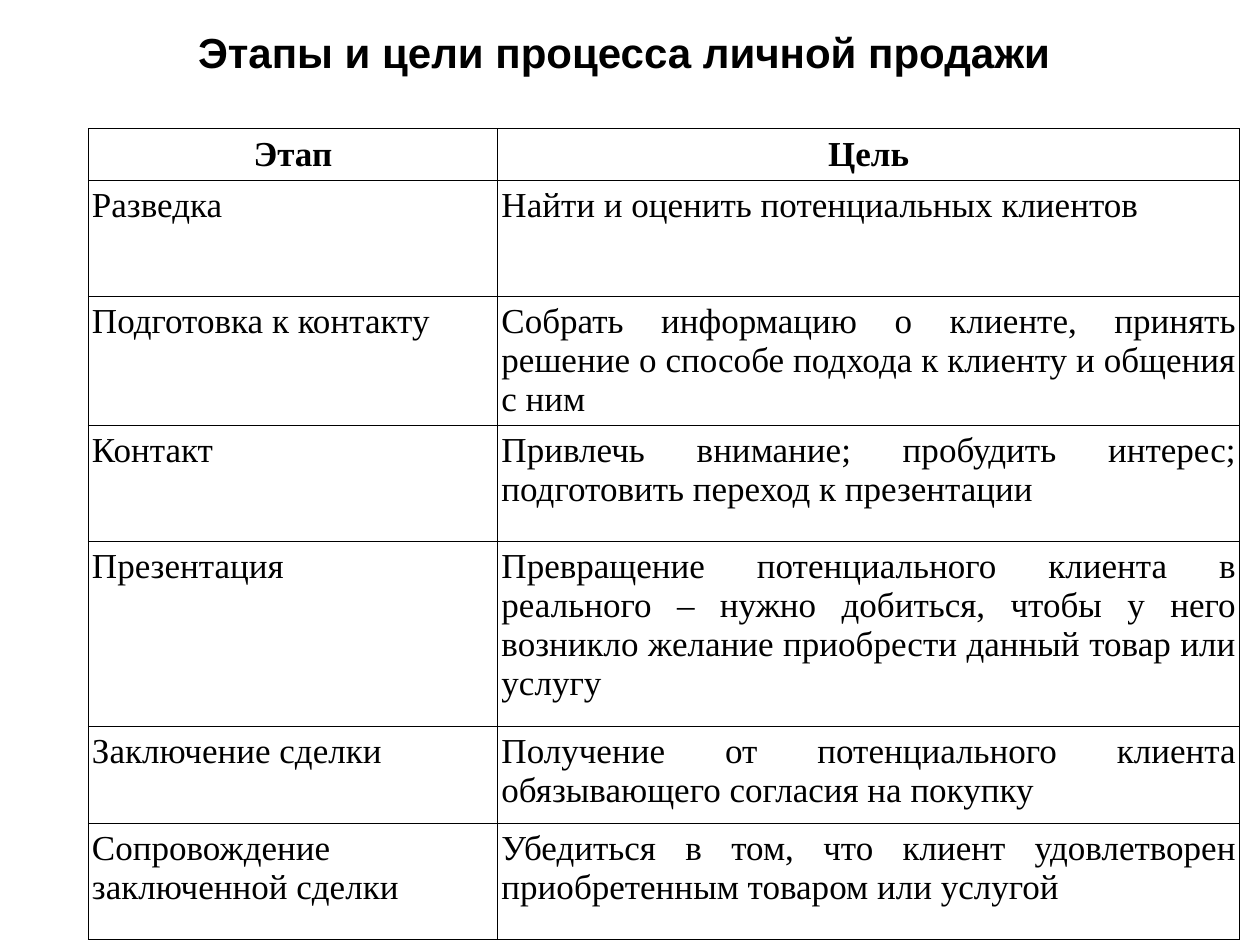
from lxml import etree
from pptx import Presentation
from pptx import util as u
from pptx.dml.color import RGBColor
from pptx.enum import text
from pptx.oxml.ns import qn

COLORS = {"ink": "000000"}
AL = text.PP_ALIGN

STAGES = [
    ("Разведка", "Найти и оценить потенциальных клиентов"),
    ("Подготовка к контакту",
     "Собрать информацию о клиенте, принять решение о способе подхода "
     "к клиенту и общения с ним"),
    ("Контакт",
     "Привлечь внимание; пробудить интерес; подготовить переход к презентации"),
    ("Презентация",
     "Превращение потенциального клиента в реального – нужно добиться, чтобы "
     "у него возникло желание приобрести данный товар или услугу"),
    ("Заключение сделки",
     "Получение от потенциального клиента обязывающего согласия на покупку"),
    ("Сопровождение заключенной сделки",
     "Убедиться в том, что клиент удовлетворен приобретенным товаром или услугой"),
]
COL_WIDTHS = [3.25, 5.89]
ROW_HEIGHTS = [0.33, 0.92, 1, 0.92, 1.47, 0.77, 0.92]


class Deck:
    """Slide style plus the slide being built."""
    title_font, title_size = "Arial", 24
    body_font, body_size = "Times New Roman", 20
    border = 0.45

    def __init__(self, width, height):
        self.prs = Presentation()
        self.prs.slide_width, self.prs.slide_height = u.Inches(width), u.Inches(height)
        self.s = self.prs.slides.add_slide(self.prs.slide_layouts[5])

    def add_text(self, tf, words, font, size, bold, align):
        p = tf.paragraphs[0]
        p.alignment = align
        r = p.add_run()
        r.text = words
        r.font.name, r.font.size, r.font.bold = font, u.Pt(size), bold
        r.font.color.rgb = RGBColor.from_string(COLORS["ink"])

    def title(self, words, top, height):
        """Full-width title; top and height are shares of the slide height."""
        sp, full = self.s.shapes.title, self.prs.slide_height
        sp.left, sp.width = 0, self.prs.slide_width
        sp.top, sp.height = int(full * top), int(full * height)
        tf = sp.text_frame
        tf.word_wrap = True
        tf.auto_size = text.MSO_AUTO_SIZE.NONE
        tf.vertical_anchor = text.MSO_ANCHOR.MIDDLE
        self.add_text(tf, words, self.title_font, self.title_size, True, AL.CENTER)

    def outline(self, cell):
        tc_pr = cell._tc.get_or_add_tcPr()
        for i, side in enumerate(("lnL", "lnR", "lnT", "lnB")):
            ln = etree.Element(qn(f"a:{side}"), w=str(u.Pt(self.border)))
            fill = etree.SubElement(ln, qn("a:solidFill"))
            etree.SubElement(fill, qn("a:srgbClr"), val=COLORS["ink"])
            tc_pr.insert(i, ln)

    def cell(self, cell, words, bold, align):
        cell.margin_left = cell.margin_right = u.Inches(0.03)
        cell.margin_top = cell.margin_bottom = u.Inches(0.05)
        cell.fill.background()
        self.outline(cell)
        self.add_text(cell.text_frame, words, self.body_font, self.body_size, bold, align)

    def table(self, left, top, widths, heights, header, rows):
        """Two-column table; left and top are shares of the slide size."""
        tbl = self.s.shapes.add_table(
            len(heights), len(widths),
            int(self.prs.slide_width * left), int(self.prs.slide_height * top),
            u.Inches(sum(widths)), u.Inches(sum(heights))).table
        tbl.first_row = tbl.horz_banding = False
        for col, width in zip(tbl.columns, widths):
            col.width = u.Inches(width)
        for row, height in zip(tbl.rows, heights):
            row.height = u.Inches(height)
        for i, line in enumerate([header, *rows]):
            aligns = (AL.LEFT, AL.JUSTIFY) if i else (AL.CENTER, AL.CENTER)
            for j, words in enumerate(line):
                self.cell(tbl.cell(i, j), words, i == 0, aligns[j])


def main():
    deck = Deck(10, 7.5)
    # Heading
    deck.title("Этапы и цели процесса личной продажи ", 0.16 / 7.5, 0.5 / 7.5)
    # Stages and their goals
    deck.table(0.07, 1.02 / 7.5, COL_WIDTHS, ROW_HEIGHTS, ("Этап", "Цель"), STAGES)
    deck.prs.save("out.pptx")


if __name__ == "__main__":
    main()
